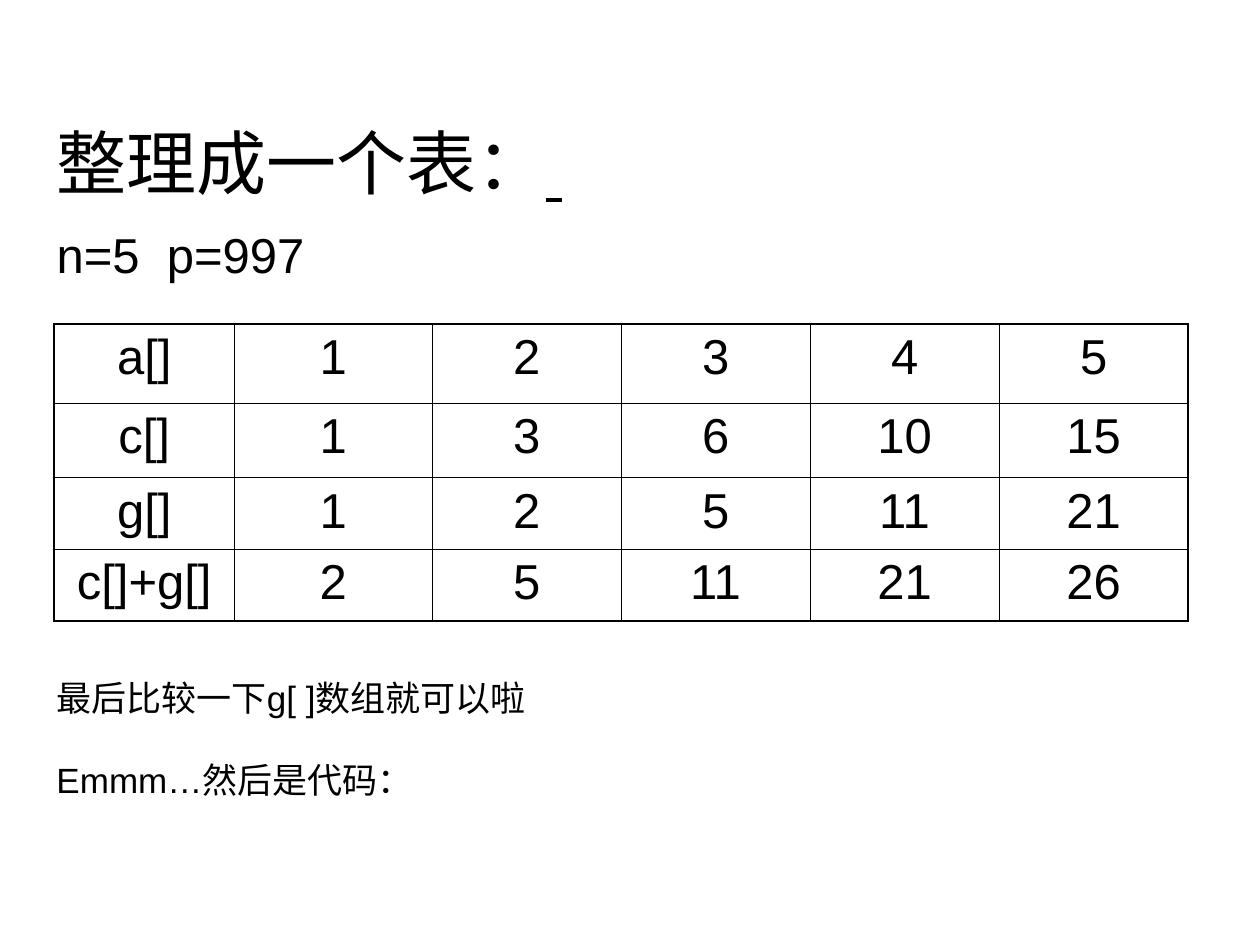
from lxml import etree
from pptx import Presentation
from pptx.dml.color import RGBColor
from pptx.enum.text import MSO_ANCHOR, MSO_AUTO_SIZE, PP_ALIGN
from pptx.oxml.ns import qn
from pptx.util import Inches, Pt

LEFT, CENTER = PP_ALIGN.LEFT, PP_ALIGN.CENTER
MIDDLE = MSO_ANCHOR.MIDDLE
NO_FIT = MSO_AUTO_SIZE.NONE
TITLE_ONLY = 5

THEME = {
    "font": "Arial", "ink": "000000",
    "title": 40, "table": 28, "note": 20,
    "outer": 1.08, "inner": 0.45,
}

HEADING = "整理成一个表："
PARAMETERS = "n=5  p=997"
ROWS = [
    ("a[]", 1, 2, 3, 4, 5),
    ("c[]", 1, 3, 6, 10, 15),
    ("g[]", 1, 2, 5, 11, 21),
    ("c[]+g[]", 2, 5, 11, 21, 26),
]
COLUMN_WIDTHS = [1.43, 1.57, 1.5, 1.5, 1.5, 1.5]
ROW_HEIGHTS = [0.63, 0.59, 0.57, 0.57]
NOTES = ["最后比较一下g[ ]数组就可以啦", "Emmm…然后是代码："]

TITLE_AT = (0.35, 0.99, 9, 1.25)
TABLE_AT = (0.43, 2.57, sum(COLUMN_WIDTHS), sum(ROW_HEIGHTS))
NOTES_AT = (0.35, 5.32, 5, 1.1)


def inches(values):
    return [Inches(value) for value in values]


def add_span(para, text, size, bold=False, underline=False):
    span = para.add_run()
    span.text = text
    font = span.font
    font.name, font.size = THEME["font"], Pt(size)
    font.bold, font.underline = bold, underline
    font.color.rgb = RGBColor.from_string(THEME["ink"])


def add_break(para, size):
    """Break the line without the default size stretching it."""
    para.add_line_break()
    line_break = para._p.findall(qn("a:br"))[-1]
    etree.SubElement(line_break, qn("a:rPr"), sz=str(size * 100))


def set_borders(cell, widths):
    """Draw the left, right, top and bottom edges in the given points."""
    properties = cell._tc.get_or_add_tcPr()
    for index, (side, width) in enumerate(zip("LRTB", widths)):
        line = etree.Element(qn(f"a:ln{side}"), w=str(Pt(width)))
        fill = etree.SubElement(line, qn("a:solidFill"))
        etree.SubElement(fill, qn("a:srgbClr"), val=THEME["ink"])
        properties.insert(index, line)


def build_title(slide):
    title = slide.shapes.title
    title.left, title.top, title.width, title.height = inches(TITLE_AT)
    frame = title.text_frame
    frame.auto_size, frame.vertical_anchor = NO_FIT, MIDDLE
    frame.word_wrap = True
    para = frame.paragraphs[0]
    para.alignment = LEFT
    add_span(para, HEADING, THEME["title"])
    add_span(para, " ", THEME["title"], bold=True, underline=True)
    add_break(para, THEME["title"])
    add_span(para, PARAMETERS, THEME["table"])
    add_span(para, " ", THEME["title"])


def build_table(slide):
    frame = slide.shapes.add_table(len(ROWS), len(COLUMN_WIDTHS), *inches(TABLE_AT))
    table = frame.table
    table.first_row = table.horz_banding = False
    for column, width in zip(table.columns, COLUMN_WIDTHS):
        column.width = Inches(width)
    for row, height in zip(table.rows, ROW_HEIGHTS):
        row.height = Inches(height)
    last_row, last_column = len(ROWS) - 1, len(COLUMN_WIDTHS) - 1
    for r, values in enumerate(ROWS):
        for c, value in enumerate(values):
            cell = table.cell(r, c)
            cell.fill.background()
            para = cell.text_frame.paragraphs[0]
            para.alignment = CENTER
            add_span(para, str(value), THEME["table"])
            on_edge = (c == 0, c == last_column, r == 0, r == last_row)
            set_borders(cell, [THEME["outer" if edge else "inner"] for edge in on_edge])


def build_notes(slide):
    frame = slide.shapes.add_textbox(*inches(NOTES_AT)).text_frame
    frame.word_wrap = True
    for index, note in enumerate(NOTES):
        para = frame.add_paragraph() if index else frame.paragraphs[0]
        if index:
            para.space_before = Pt(23)
        add_span(para, note, THEME["note"])


def main():
    deck = Presentation()
    deck.slide_width, deck.slide_height = Inches(10), Inches(7.5)
    slide = deck.slides.add_slide(deck.slide_layouts[TITLE_ONLY])
    build_title(slide)
    build_table(slide)
    build_notes(slide)
    deck.save("out.pptx")


if __name__ == "__main__":
    main()
